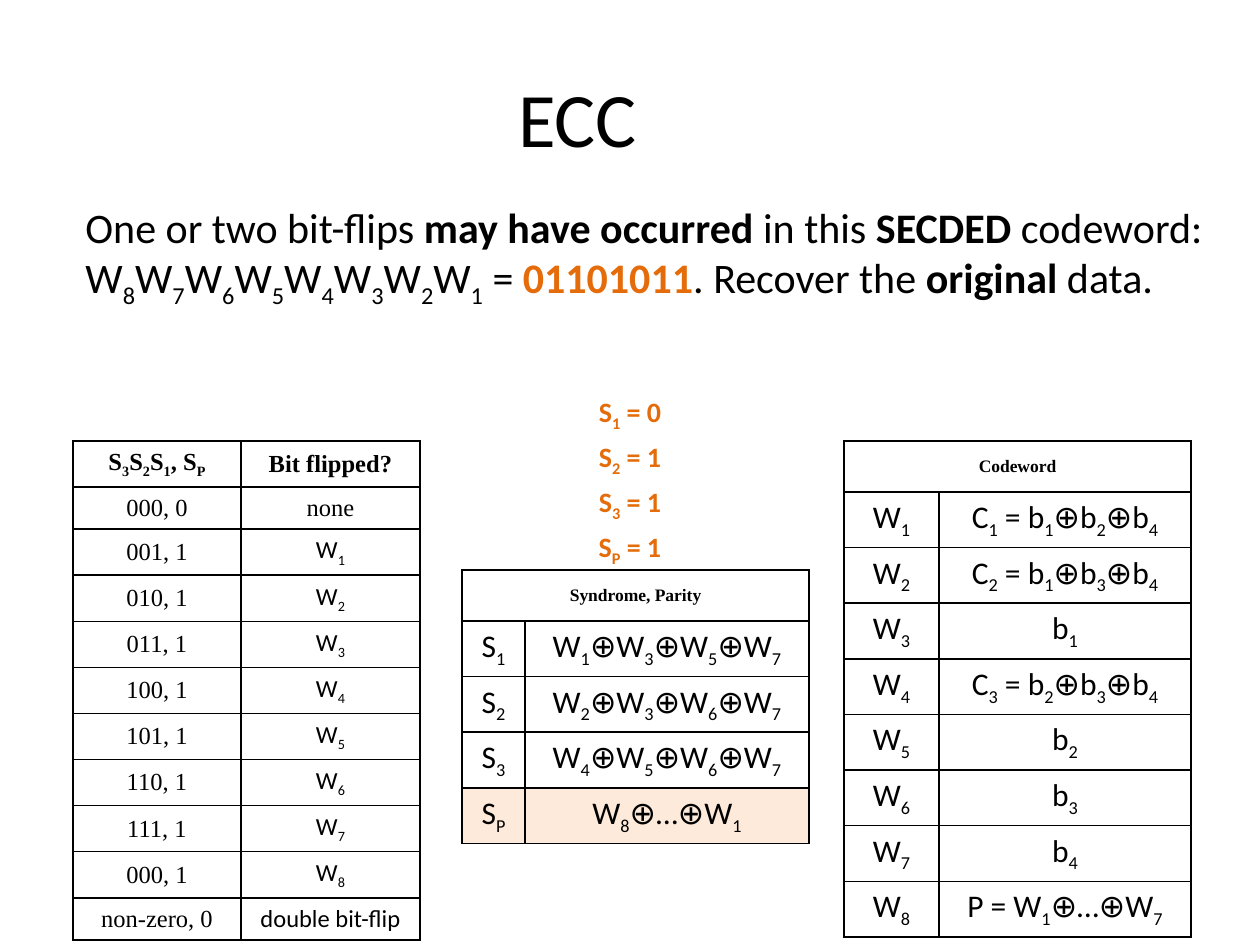
from pptx import Presentation
from pptx.dml.color import RGBColor
from pptx.enum.text import MSO_ANCHOR, PP_ALIGN
from pptx.oxml import parse_xml
from pptx.oxml.ns import nsdecls
from pptx.util import Pt

SCALE = 914400 / 126
BLACK = RGBColor(0x00, 0x00, 0x00)
WHITE = RGBColor(0xFF, 0xFF, 0xFF)
ORANGE = RGBColor(0xE4, 0x6C, 0x0A)
PEACH = RGBColor(0xFD, 0xEA, 0xDA)
SANS = "Calibri"
SERIF = "Times New Roman"
CENTER = PP_ALIGN.CENTER
MIDDLE = MSO_ANCHOR.MIDDLE


def px(*lengths):
    return [round(length * SCALE) for length in lengths]


def write(para, text, size=14, font=SANS, bold=False, color=BLACK):
    first, *rest = text.split("_")
    pieces = [(first, False)]
    for part in rest:
        pieces += [(part[0], True), (part[1:], False)]
    for piece, lowered in pieces:
        if piece:
            span = para.add_run()
            span.text = piece
            span.font.size = Pt(size)
            span.font.name = font
            span.font.bold = bold
            span.font.color.rgb = color
            if lowered:
                span.font._element.set("baseline", "-25000")


deck = Presentation()
deck.slide_width, deck.slide_height = px(1260, 945)
page = deck.slides.add_slide(deck.slide_layouts[5])

title = page.shapes.title
title.left, title.top, title.width, title.height = px(63, 38, 1029, 158)
title.text_frame.vertical_anchor = MIDDLE
title_para = title.text_frame.paragraphs[0]
title_para.alignment = CENTER
write(title_para, "ECC", size=44)

question = page.shapes.add_textbox(*px(73, 195, 1167, 236)).text_frame
question.word_wrap = True
for text, bold, color in [
    ("One or two bit-flips ", False, BLACK),
    ("may have occurred ", True, BLACK),
    ("in this ", False, BLACK),
    ("SECDED", True, BLACK),
    (" codeword: W_8W_7W_6W_5W_4W_3W_2W_1 = ", False, BLACK),
    ("01101011", True, ORANGE),
    (". Recover the ", False, BLACK),
    ("original", True, BLACK),
    (" data.", False, BLACK),
]:
    write(question.paragraphs[0], text, size=24, bold=bold, color=color)

flip_rows = [("S_3S_2S_1, S_P", "Bit flipped?"), ("000, 0", "none")]
flip_rows += [(f"{bit % 8:03b}, 1", f"W_{bit}") for bit in range(1, 9)]
flip_rows.append(("non-zero, 0", "double bit-flip"))

syndrome_rows = [("Syndrome, Parity", "")]
for number, bits in enumerate(["1357", "2367", "4567"], 1):
    syndrome_rows.append((f"S_{number}", "⊕".join(f"W_{bit}" for bit in bits)))
syndrome_rows.append(("S_P", "W_8⊕…⊕W_1"))

codeword_values = ["C_1 = b_1⊕b_2⊕b_4", "C_2 = b_1⊕b_3⊕b_4", "b_1", "C_3 = b_2⊕b_3⊕b_4",
                   "b_2", "b_3", "b_4", "P = W_1⊕…⊕W_7"]
codeword_rows = [("Codeword", "")]
codeword_rows += [(f"W_{bit}", value) for bit, value in enumerate(codeword_values, 1)]

for rows, left, top, height, columns, row_height, head_size, size, fill in [
    (flip_rows, 73, 441, 462, (168, 179), 25, 14, 14, None),
    (syndrome_rows, 462, 570, 256, (63, 284), 51, 10, 18, None),
    (codeword_rows, 844, 441, 460, (95, 252), 51, 10, 18, WHITE),
]:
    frame = page.shapes.add_table(len(rows), 2, *px(left, top, sum(columns), height))
    table = frame.table
    table.first_row = table.horz_banding = False
    for column, width in zip(table.columns, px(*columns)):
        column.width = width
    for row in table.rows:
        row.height = px(row_height)[0]
    frame.height = px(height)[0]
    if not rows[0][1]:
        table.cell(0, 0).merge(table.cell(0, 1))
    for row_index, texts in enumerate(rows):
        for column_index, text in enumerate(texts):
            cell = table.cell(row_index, column_index)
            cell.vertical_anchor = MIDDLE
            for side in ("lnL", "lnR", "lnT", "lnB"):
                cell._tc.get_or_add_tcPr().append(parse_xml(
                    f'<a:{side} {nsdecls("a")} w="12700"><a:solidFill>'
                    f'<a:srgbClr val="{BLACK}"/></a:solidFill></a:{side}>'))
            cell_fill = PEACH if texts[0] == "S_P" else fill
            if cell_fill is None:
                cell.fill.background()
            else:
                cell.fill.solid()
                cell.fill.fore_color.rgb = cell_fill
            head = row_index == 0
            serif = head or text == "none" or (rows is flip_rows and column_index == 0)
            para = cell.text_frame.paragraphs[0]
            para.alignment = CENTER
            write(para, text, size=head_size if head else size,
                  font=SERIF if serif else SANS, bold=head)

answer = page.shapes.add_textbox(*px(567, 388, 126, 171)).text_frame
answer.word_wrap = True
for index, text in enumerate(["S_1 = 0", "S_2 = 1", "S_3 = 1", "S_P = 1"]):
    para = answer.add_paragraph() if index else answer.paragraphs[0]
    para.alignment = CENTER
    if index:
        para.space_before = Pt(4)
    write(para, text, size=16, bold=True, color=ORANGE)

deck.save("out.pptx")
